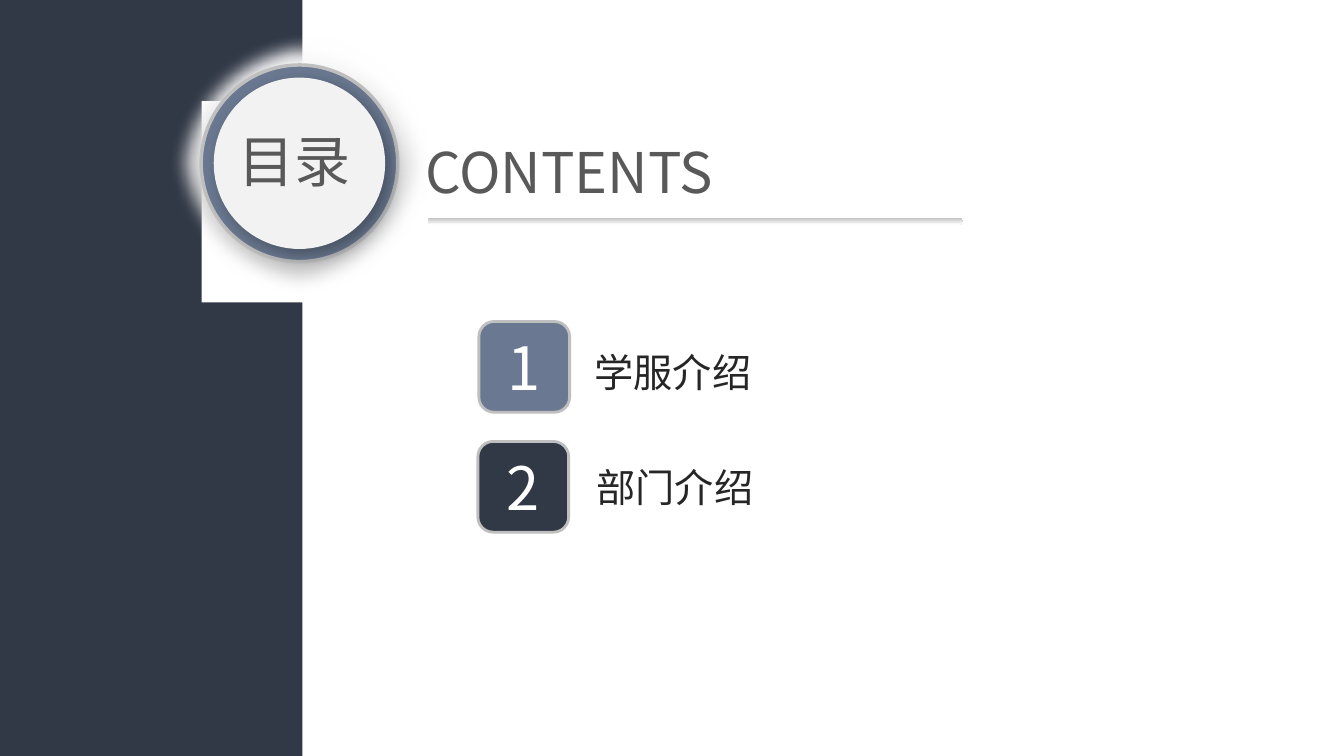
from math import cos, pi, sin

from lxml.etree import SubElement
from pptx import Presentation
from pptx.dml.color import RGBColor
from pptx.enum.shapes import MSO_SHAPE
from pptx.enum.text import MSO_ANCHOR, MSO_AUTO_SIZE, PP_ALIGN
from pptx.oxml.ns import qn
from pptx.util import Inches, Pt

NAVY, SLATE, SILVER, WHITE = "313846", "6A7991", "BFBFBF", "FFFFFF"
HEADING, BODY = "595959", "262626"


def color(hex_text):
    return RGBColor.from_string(hex_text)


class SlideBuilder:
    font = "Noto Sans CJK SC"

    def __init__(self, slide):
        self.slide = slide

    def paint(self, shape, fill, line=None, width=0):
        shape.shadow.inherit = False
        if isinstance(fill, tuple):
            shape.fill.gradient()
            shape.fill.gradient_angle = 270
            for stop, (position, shade) in zip(shape.fill.gradient_stops, enumerate(fill)):
                stop.position = position
                stop.color.rgb = color(shade)
        else:
            shape.fill.solid()
            shape.fill.fore_color.rgb = color(fill)
        if line:
            shape.line.color.rgb = color(line)
            shape.line.width = Pt(width)
        else:
            shape.line.fill.background()
        return shape

    def shape(self, kind, left, top, width, height, fill, line=None, line_width=0, radius=None):
        shape = self.slide.shapes.add_shape(
            kind, Inches(left), Inches(top), Inches(width), Inches(height))
        if radius is not None:
            shape.adjustments[0] = radius
        return self.paint(shape, fill, line, line_width)

    def circle(self, center, diameter, fill, line=None, line_width=0):
        left, top = (c - diameter / 2 for c in center)
        return self.shape(MSO_SHAPE.OVAL, left, top, diameter, diameter, fill, line, line_width)

    def outline(self, points, fill):
        builder = self.slide.shapes.build_freeform(*points[0], scale=Inches(1))
        builder.add_line_segments(points[1:], close=True)
        return self.paint(builder.convert_to_shape(), fill)

    def effect(self, shape, tag, **attributes):
        effects = shape._element.spPr.find(qn("a:effectLst"))
        return SubElement(effects, qn(tag), {k: str(v) for k, v in attributes.items()})

    def soften(self, shape, radius):
        self.effect(shape, "a:softEdge", rad=int(Pt(radius)))

    def cast_shadow(self, shape, shade, opacity, blur, distance, angle):
        shadow = self.effect(shape, "a:outerShdw", blurRad=int(Pt(blur)), dist=int(Pt(distance)),
                             dir=angle * 60000, algn="tl", rotWithShape=0)
        tint = SubElement(shadow, qn("a:srgbClr"), val=shade)
        SubElement(tint, qn("a:alpha"), val=str(opacity * 1000))

    def set_text(self, frame, text, size, shade, align):
        frame.text = text
        paragraph = frame.paragraphs[0]
        paragraph.alignment = align
        run = paragraph.runs[0]
        run.font.size = Pt(size)
        run.font.name = self.font
        run.font.color.rgb = color(shade)
        SubElement(run._r.get_or_add_rPr(), qn("a:ea"), typeface=self.font)

    def text(self, text, left, top, width, height, size, shade, align=PP_ALIGN.LEFT):
        box = self.slide.shapes.add_textbox(
            Inches(left), Inches(top), Inches(width), Inches(height))
        box.text_frame.word_wrap = True
        box.text_frame.auto_size = MSO_AUTO_SIZE.SHAPE_TO_FIT_TEXT
        self.set_text(box.text_frame, text, size, shade, align)

    def number_tile(self, number, left, top, fill):
        tile = self.shape(MSO_SHAPE.ROUNDED_RECTANGLE, left, top, 0.9, 0.9,
                          fill, SILVER, 2, radius=0.167)
        tile.text_frame.vertical_anchor = MSO_ANCHOR.MIDDLE
        self.set_text(tile.text_frame, number, 42.6, WHITE, PP_ALIGN.CENTER)


def main():
    deck = Presentation()
    deck.slide_width, deck.slide_height = Inches(13.33), Inches(7.5)
    page = SlideBuilder(deck.slides.add_slide(deck.slide_layouts[6]))

    # Dark side panel with a round notch
    panel_left, panel_right, notch_y, notch_radius, steps = -0.13, 2.97, 1.62, 1.19, 60
    notch = [(panel_right - notch_radius * sin(pi * i / steps),
              notch_y - notch_radius * cos(pi * i / steps)) for i in range(steps + 1)]
    page.outline([(panel_left, 0), (panel_right, 0), *notch,
                  (panel_right, 7.5), (panel_left, 7.5)], NAVY)

    # Round title badge
    badge_center = (2.97, 1.62)
    halo = page.circle(badge_center, 2.61, (WHITE, SILVER))
    page.soften(halo, 12.5)
    page.circle(badge_center, 1.95, SLATE, SILVER, 2.5)
    disc = page.circle(badge_center, 1.7, "F2F2F2")
    page.cast_shadow(disc, "353C48", opacity=64, blur=12, distance=6, angle=45)

    # Headings and rule
    page.text("CONTENTS", 4.12, 1.32, 4.64, 0.77, 40, HEADING)
    page.text("目录", 2, 1.21, 1.85, 0.77, 40, HEADING, PP_ALIGN.CENTER)
    page.shape(MSO_SHAPE.ROUNDED_RECTANGLE, 4.24, 2.16, 5.31, 0.07,
               (SILVER, WHITE), radius=0.5)

    # Numbered chapters
    chapters = [
        ("学服介绍", 5.8, 3.41, 4.75, 3.19, SLATE),
        ("部门介绍", 5.82, 4.55, 4.74, 4.38, NAVY),
    ]
    for number, (chapter, left, top, tile_left, tile_top, fill) in enumerate(chapters, 1):
        page.text(chapter, left, top, 3.23, 0.57, 28, BODY, PP_ALIGN.JUSTIFY)
        page.number_tile(str(number), tile_left, tile_top, fill)

    deck.save("out.pptx")


if __name__ == "__main__":
    main()
